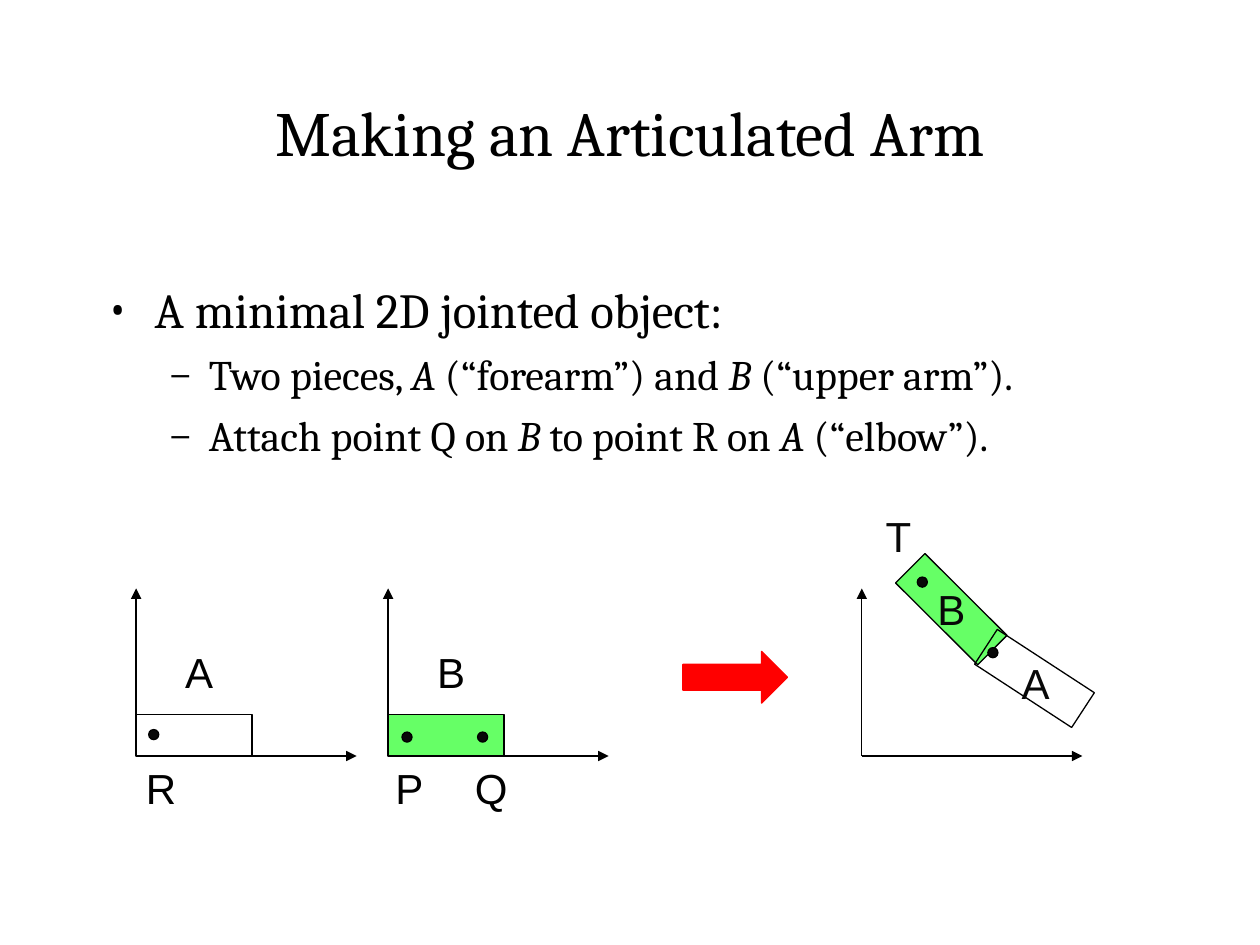
import dataclasses

import pptx
import pptx.dml.color
import pptx.enum.shapes
import pptx.enum.text
import pptx.oxml
import pptx.oxml.ns
import pptx.util


@dataclasses.dataclass(frozen=True)
class Theme:
    ink: str = "000000"
    soft: str = "080808"
    green: str = "66FF66"
    red: str = "FF0000"
    serif: str = "Cambria"
    sans: str = "Arial"
    title: int = 36
    lead: int = 28
    text: int = 24
    line: float = 0.75


THEME = Theme()
KIND = pptx.enum.shapes.MSO_SHAPE
ANCHOR = pptx.enum.text.MSO_ANCHOR
WIDTHS = {"A": 0.42, "B": 0.42, "P": 0.42, "Q": 0.46, "R": 0.44, "T": 0.4}
PIECE = (0.92, 0.33)
DOT = (0.08, 0.08)


def lengths(*values):
    return [pptx.util.Inches(value) for value in values]


def color(code):
    return pptx.dml.color.RGBColor.from_string(code)


def child(parent, tag, **attrs):
    node = pptx.oxml.ns.qn(tag)
    item = parent.makeelement(node, attrs)
    parent.append(item)
    return item


def add_run(para, words, size, face, code=THEME.ink, slant=False):
    run = para.add_run()
    run.text = words
    font = run.font
    font.size = pptx.util.Pt(size)
    font.name = face
    font.italic = slant
    font.color.rgb = color(code)


def add_shape(slide, kind, box, fill=None, line=THEME.ink, turn=0):
    shape = slide.shapes.add_shape(kind, *lengths(*box))
    shape.shadow.inherit = False
    shape.rotation = turn
    if fill:
        shape.fill.solid()
        shape.fill.fore_color.rgb = color(fill)
    else:
        shape.fill.background()
    shape.line.color.rgb = color(line)
    shape.line.width = pptx.util.Pt(THEME.line)
    return shape


def add_arrow(slide, start, end):
    straight = pptx.enum.shapes.MSO_CONNECTOR.STRAIGHT
    arrow = slide.shapes.add_connector(straight, *lengths(*start, *end))
    arrow.line.color.rgb = color(THEME.ink)
    arrow.line.width = pptx.util.Pt(THEME.line)
    child(arrow.line._get_or_add_ln(), "a:tailEnd", type="triangle")
    child(arrow._element.spPr, "a:effectLst")


def add_label(slide, left, top, name, code):
    box = slide.shapes.add_textbox(*lengths(left, top, WIDTHS[name], 0.5))
    frame = box.text_frame
    frame.word_wrap = False
    frame.auto_size = pptx.enum.text.MSO_AUTO_SIZE.SHAPE_TO_FIT_TEXT
    frame.vertical_anchor = ANCHOR.MIDDLE
    add_run(frame.paragraphs[0], name, THEME.text, THEME.sans, code)


def add_title(slide, box, words):
    frame = slide.shapes.add_textbox(*lengths(*box)).text_frame
    frame.word_wrap = True
    frame.vertical_anchor = ANCHOR.MIDDLE
    para = frame.paragraphs[0]
    para.alignment = pptx.enum.text.PP_ALIGN.CENTER
    add_run(para, words, THEME.title, THEME.serif)


def add_body(slide, box, lines):
    frame = slide.shapes.add_textbox(*lengths(*box)).text_frame
    frame.word_wrap = True
    for index, (level, parts) in enumerate(lines):
        para = frame.add_paragraph() if index else frame.paragraphs[0]
        mark, left, hang, size = (
            ("–", 0.81, 0.31, THEME.text) if level else ("•", 0.38, 0.38, THEME.lead)
        )
        if index:
            para.space_before = pptx.util.Pt(6)
        para.level = level
        props = para._p.get_or_add_pPr()
        props.set("marL", str(pptx.util.Inches(left)))
        props.set("indent", str(-pptx.util.Inches(hang)))
        child(props, "a:buFont", typeface=THEME.serif)
        child(props, "a:buChar", char=mark)
        for spot, words in enumerate(parts):
            add_run(para, words, size, THEME.serif, slant=spot % 2 == 1)


def add_plot(slide, box, pieces, dots, labels, code=THEME.ink):
    left, top, width, height = box
    base = top + height
    add_arrow(slide, (left, base), (left + width, base))
    add_arrow(slide, (left, base), (left, top))
    for across, down, turn, fill in pieces:
        spot = (left + across, top + down, *PIECE)
        add_shape(slide, KIND.RECTANGLE, spot, fill, turn=turn)
    for across, down in dots:
        add_shape(slide, KIND.OVAL, (left + across, top + down, *DOT), THEME.soft)
    for name, across, down in labels:
        add_label(slide, left + across, top + down, name, code)


def main():
    deck = pptx.Presentation()
    deck.slide_width, deck.slide_height = lengths(10, 7.5)
    slide = deck.slides.add_slide(deck.slide_layouts[6])

    add_title(slide, (0.75, 0.42, 8.5, 1.25), "Making an Articulated Arm")
    add_body(slide, (0.75, 2.17, 8.5, 4.5), [
        (0, ["A minimal 2D jointed object:"]),
        (1, ["Two pieces, ", "A ", "(“forearm”) and ", "B ", "(“upper arm”)."]),
        (1, ["Attach point Q on ", "B ", "to point R on ", "A ", "(“elbow”)."]),
    ])

    top, size = 4.67, (1.75, 1.33)
    add_plot(
        slide, (1.08, top, *size),
        pieces=[(0, 1, 0, None)],
        dots=[(0.1, 1.12)],
        labels=[("R", -0.02, 1.33), ("A", 0.29, 0.41)],
    )
    add_plot(
        slide, (3.08, top, *size),
        pieces=[(0, 1, 0, THEME.green)],
        dots=[(0.11, 1.14), (0.71, 1.14)],
        labels=[("P", -0.04, 1.33), ("Q", 0.59, 1.33), ("B", 0.29, 0.41)],
    )
    add_plot(
        slide, (6.84, top, *size),
        pieces=[(0.25, 0, 44.9, THEME.green), (0.91, 0.55, 33.1, None)],
        dots=[(1, 0.47), (0.44, -0.09)],
        labels=[("T", 0.09, -0.67), ("B", 0.5, -0.09), ("A", 1.17, 0.5)],
        code=THEME.soft,
    )
    add_shape(slide, KIND.RIGHT_ARROW, (5.42, 5.17, 0.83, 0.41), THEME.red, THEME.red)
    deck.save("out.pptx")


if __name__ == "__main__":
    main()
